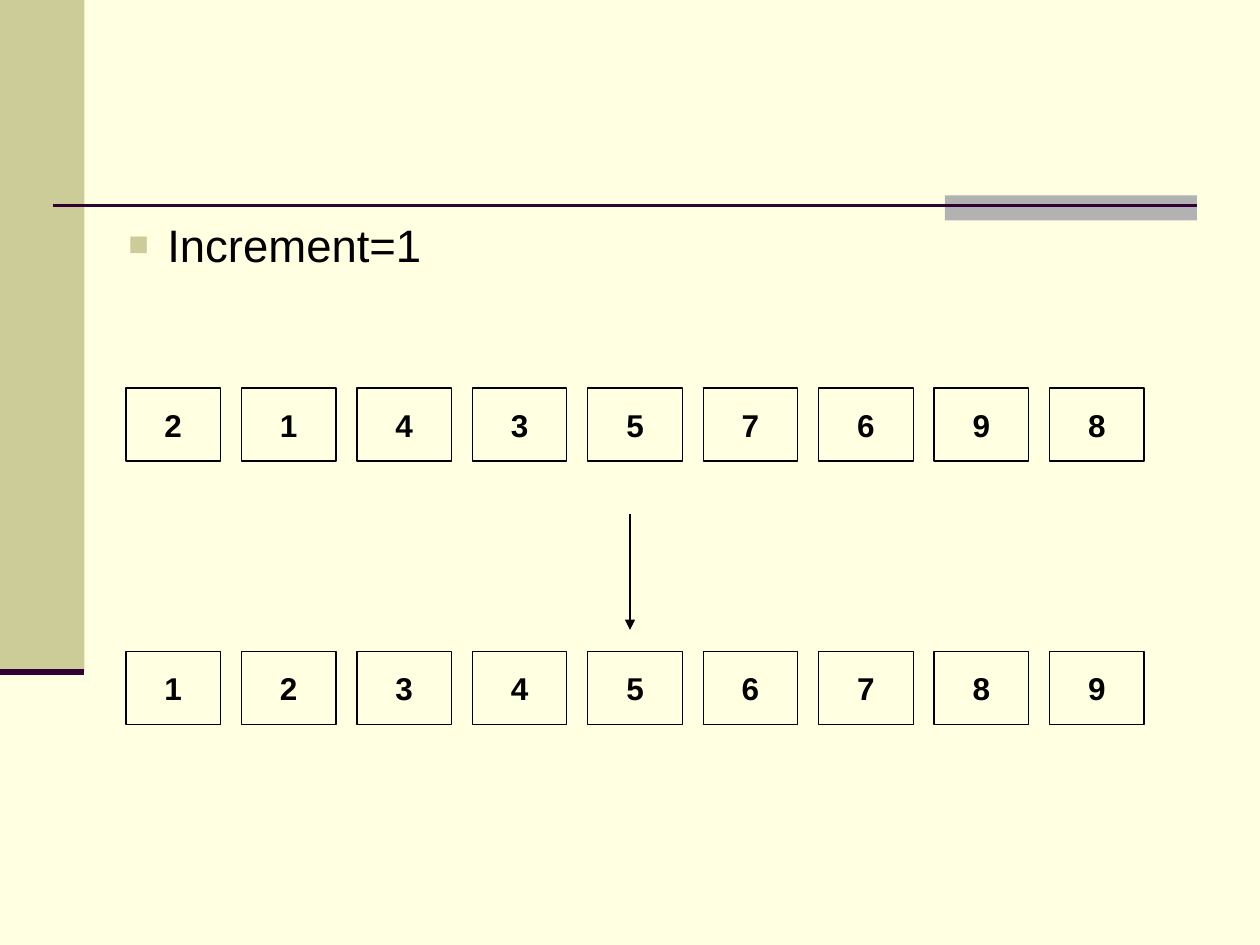
from lxml import etree
from pptx import Presentation
from pptx.dml.color import RGBColor
from pptx.enum.shapes import MSO_CONNECTOR, MSO_SHAPE
from pptx.enum.text import MSO_ANCHOR, PP_ALIGN
from pptx.oxml.ns import qn
from pptx.util import Inches, Pt

COLORS = {
    "cream": "FFFFE1",
    "olive": "CCCC99",
    "gray": "B2B2B2",
    "plum": "330033",
    "black": "000000",
}
FONT = "Arial"
BEFORE = [2, 1, 4, 3, 5, 7, 6, 9, 8]
AFTER = sorted(BEFORE)


def rgb(name):
    """Return the named palette colour."""
    return RGBColor.from_string(COLORS[name])


def add_block(shapes, left, top, width, height, fill):
    """Add a plain filled rectangle without an outline."""
    block = shapes.add_shape(
        MSO_SHAPE.RECTANGLE, Inches(left), Inches(top), Inches(width), Inches(height)
    )
    block.shadow.inherit = False
    block.fill.solid()
    block.fill.fore_color.rgb = rgb(fill)
    block.line.fill.background()
    return block


def add_rule(shapes, start, end, color, weight):
    """Add a straight line between two points."""
    rule = shapes.add_connector(
        MSO_CONNECTOR.STRAIGHT, *(Inches(value) for value in (*start, *end))
    )
    rule.line.color.rgb = rgb(color)
    rule.line.width = Pt(weight)
    etree.SubElement(rule._element.spPr, qn("a:effectLst"))
    return rule


def add_run(paragraph, text, size, bold=False):
    """Add a black run of text to a paragraph."""
    run = paragraph.add_run()
    run.text = text
    run.font.name = FONT
    run.font.size = Pt(size)
    run.font.bold = bold
    run.font.color.rgb = rgb("black")


def add_frame(slide, left, top, width, height):
    """Add the side band, the header rule and its gray tab."""
    band_width, band_height = 0.67, 5.33
    tab_width, tab_height = 2, 0.2
    right, rule_top = left + width - 0.5, top + 1.63
    shapes = slide.shapes.add_group_shape().shapes
    add_block(shapes, left, top, band_width, band_height, "olive")
    add_block(shapes, right - tab_width, rule_top - 0.08, tab_width, tab_height, "gray")
    add_rule(shapes, (left + 0.42, rule_top), (right, rule_top), "plum", 1.5)
    foot = top + band_height
    add_rule(slide.shapes, (left, foot), (left + band_width, foot), "plum", 3.5)


def add_bullet_text(slide, left, top, width, height, text):
    """Add a paragraph with a square bullet."""
    body = slide.shapes.add_textbox(
        Inches(left), Inches(top), Inches(width), Inches(height)
    )
    body.text_frame.word_wrap = True
    paragraph = body.text_frame.paragraphs[0]
    properties = paragraph._p.get_or_add_pPr()
    properties.set("marL", str(Inches(0.81)))
    properties.set("indent", str(Inches(-0.31)))
    bullet_color = etree.SubElement(properties, qn("a:buClr"))
    etree.SubElement(bullet_color, qn("a:srgbClr"), val=COLORS["olive"])
    etree.SubElement(properties, qn("a:buSzPct"), val="75000")
    etree.SubElement(properties, qn("a:buFont"), typeface=FONT)
    etree.SubElement(properties, qn("a:buChar"), char="■")
    add_run(paragraph, text, 26)


def add_number_row(slide, left, top, width, height, numbers):
    """Add equally spaced number cells filling the given box."""
    cell_width = 0.75
    pitch = (width - cell_width) / (len(numbers) - 1)
    shapes = slide.shapes.add_group_shape().shapes
    for index, number in enumerate(numbers):
        cell = add_block(shapes, left + index * pitch, top, cell_width, height, "cream")
        cell.line.color.rgb = rgb("black")
        cell.line.width = Pt(0.75)
        frame = cell.text_frame
        frame.word_wrap = False
        frame.vertical_anchor = MSO_ANCHOR.MIDDLE
        paragraph = frame.paragraphs[0]
        paragraph.alignment = PP_ALIGN.CENTER
        add_run(paragraph, str(number), 18, bold=True)


def add_sort_step(slide, left, top, width, height):
    """Add the row before sorting, an arrow down and the sorted row."""
    row_height = 0.58
    sorted_top = top + height - row_height
    add_number_row(slide, left, top, width, row_height, BEFORE)
    add_number_row(slide, left, sorted_top, width, row_height, AFTER)
    arrow = add_rule(slide.shapes, (5, top + 1), (5, sorted_top - 0.17), "black", 0.75)
    etree.SubElement(arrow.line._get_or_add_ln(), qn("a:tailEnd"), type="triangle")


def main():
    """Build the slide and save it."""
    deck = Presentation()
    deck.slide_width, deck.slide_height = Inches(10), Inches(7.5)
    slide = deck.slides.add_slide(deck.slide_layouts[6])
    slide.background.fill.solid()
    slide.background.fill.fore_color.rgb = rgb("cream")
    add_frame(slide, 0, 0, 10, 7.5)
    add_bullet_text(slide, 0.42, 1.67, 9, 1.17, "Increment=1")
    add_sort_step(slide, 1, 3.08, 8.08, 2.67)
    deck.save("out.pptx")


if __name__ == "__main__":
    main()
